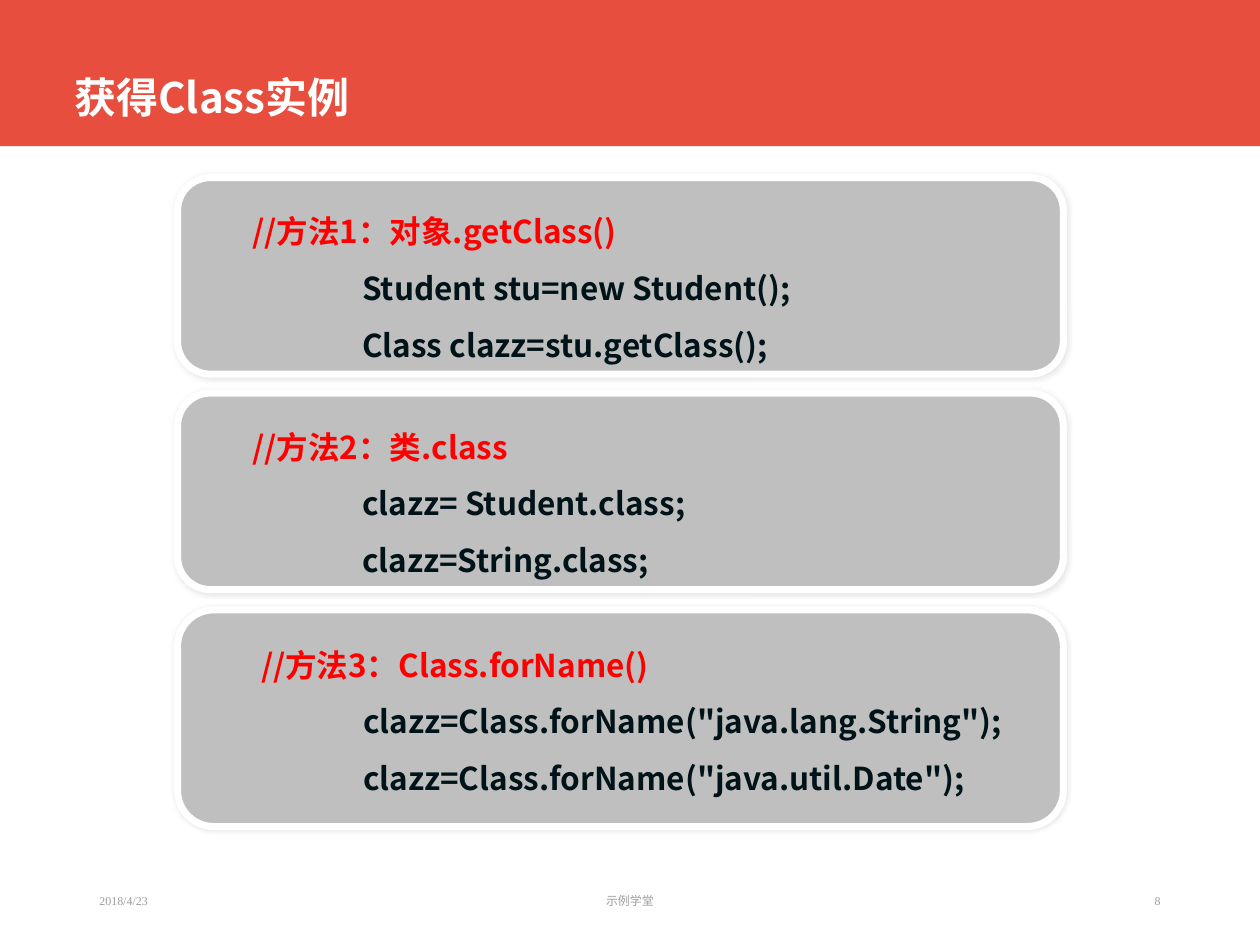
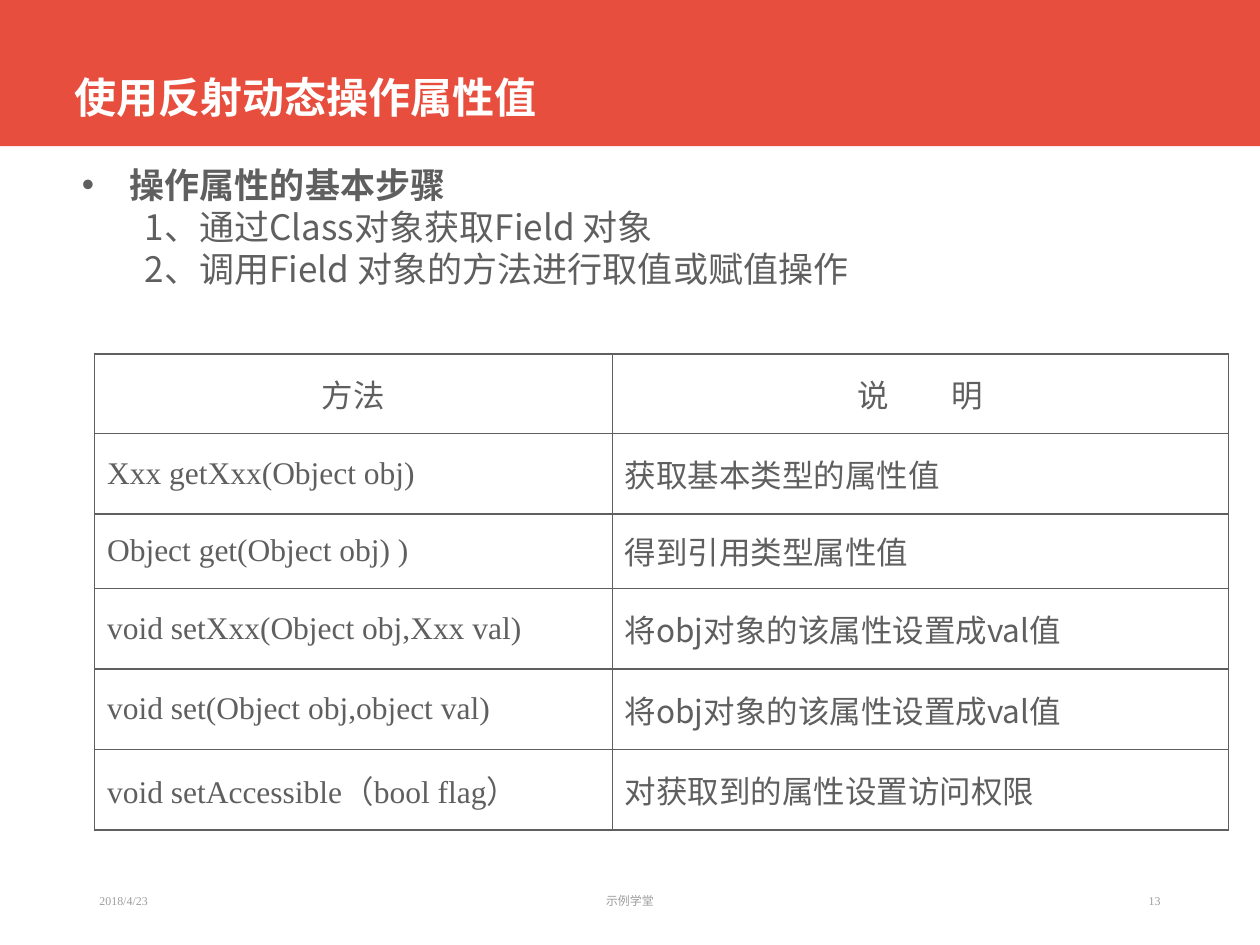
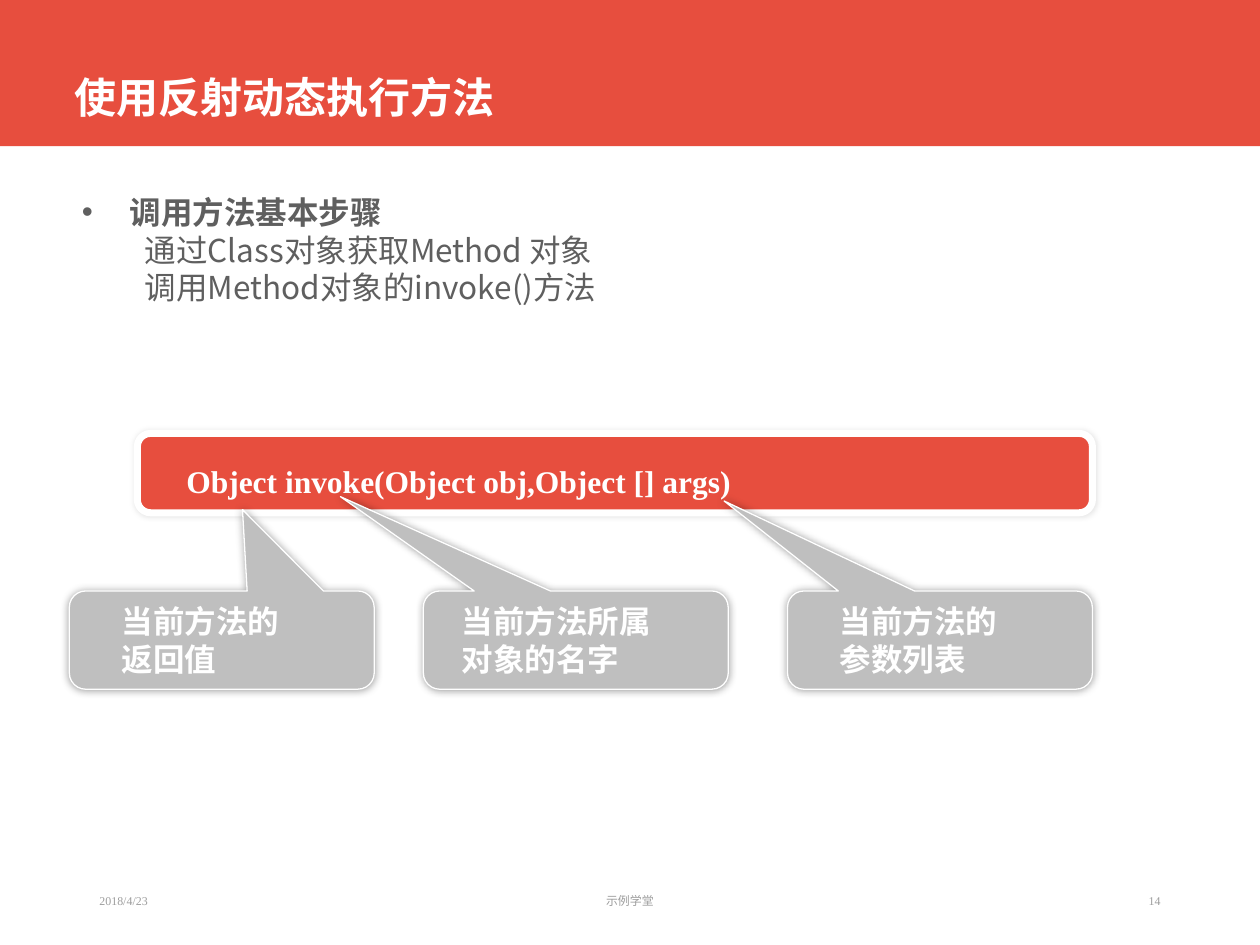
from lxml import etree
from pptx import Presentation
from pptx.dml.color import RGBColor
from pptx.enum import shapes, text
from pptx.oxml.ns import qn
from pptx.util import Inches, Pt

RED = RGBColor(0xE7, 0x4E, 0x3E)
GRAY = RGBColor(0xBF, 0xBF, 0xBF)
WHITE = RGBColor(0xFF, 0xFF, 0xFF)
COMMENT = RGBColor(0xFF, 0x00, 0x00)
CODE = RGBColor(0x00, 0x13, 0x18)
BODY = RGBColor(0x5F, 0x5F, 0x5F)
FOOTER = RGBColor(0x9D, 0x9D, 0x9D)
SANS, SERIF, ARIAL = "Noto Sans CJK SC", "Times New Roman", "Arial"
LEFT, CENTER, RIGHT = text.PP_ALIGN.LEFT, text.PP_ALIGN.CENTER, text.PP_ALIGN.RIGHT
TOP, MIDDLE, BOTTOM = text.MSO_ANCHOR.TOP, text.MSO_ANCHOR.MIDDLE, text.MSO_ANCHOR.BOTTOM

DATE, COMPANY = "2018/4/23", "示例学堂"

METHODS = [
    (1.41, 1.56, 0.42, ["//方法1：对象.getClass()",
                        "Student stu=new Student();",
                        "Class clazz=stu.getClass();"]),
    (3.12, 1.56, 0.42, ["//方法2：类.class",
                        "clazz= Student.class;",
                        "clazz=String.class;"]),
    (4.84, 1.72, 0.48, ["//方法3：Class.forName()",
                        'clazz=Class.forName("java.lang.String");',
                        'clazz=Class.forName("java.util.Date");']),
]
CODE_INDENT = 1.29

FIELD_STEPS = ["操作属性的基本步骤",
               "1、通过Class对象获取Field 对象",
               "2、调用Field 对象的方法进行取值或赋值操作"]
FIELD_METHODS = [
    ("方法", "说明"),
    ("Xxx getXxx(Object obj)", "获取基本类型的属性值"),
    ("Object get(Object obj) )", "得到引用类型属性值"),
    ("void setXxx(Object obj,Xxx val)", "将obj对象的该属性设置成val值"),
    ("void set(Object obj,object val)", "将obj对象的该属性设置成val值"),
    ("void setAccessible（bool flag）", "对获取到的属性设置访问权限"),
]
COLUMN_WIDTHS = [4.11, 4.89]
ROW_HEIGHTS = [0.63, 0.64, 0.59, 0.64, 0.64, 0.64]

INVOKE_STEPS = ["调用方法基本步骤",
                "通过Class对象获取Method 对象",
                "调用Method对象的invoke()方法"]
SIGNATURE = "Object invoke(Object obj,Object [] args)"
CALLOUTS = [
    (0.55, 0.28, (0.068, -1.328), ["当前方法的", "返回值"]),
    (3.36, 0.17, (-0.772, -1.46), ["当前方法所属", "对象的名字"]),
    (6.25, 0.28, (-0.708, -1.416), ["当前方法的", "参数列表"]),
]


def style(paragraph, size, color, font=SANS, bold=False, align=LEFT, spacing=None, before=0):
    paragraph.alignment = align
    paragraph.space_before = Pt(before)
    if spacing:
        paragraph.line_spacing = spacing
    for run in paragraph.runs:
        run.font.size, run.font.name, run.font.bold = Pt(size), font, bold
        run.font.color.rgb = color
        etree.SubElement(run._r.get_or_add_rPr(), qn("a:ea"), typeface=SANS)


def indent(paragraph, left, first=0):
    properties = paragraph._p.get_or_add_pPr()
    properties.set("marL", str(Inches(left)))
    properties.set("indent", str(Inches(first)))
    return properties


def place(shape, left, top, width, height):
    shape.left, shape.top = Inches(left), Inches(top)
    shape.width, shape.height = Inches(width), Inches(height)


def add_panel(slide, kind, box, fill, line_width, blur, opacity, lines, anchor=TOP):
    panel = slide.shapes.add_shape(kind, *map(Inches, box))
    panel.fill.solid()
    panel.fill.fore_color.rgb = fill
    panel.line.color.rgb = WHITE
    panel.line.width = Pt(line_width)
    panel.shadow.inherit = False
    effects = panel.element.spPr.find(qn("a:effectLst"))
    glow = etree.SubElement(effects, qn("a:outerShdw"), blurRad=str(Pt(blur)), dist="0", dir="0")
    black = etree.SubElement(glow, qn("a:srgbClr"), val="000000")
    etree.SubElement(black, qn("a:alpha"), val=str(opacity * 1000))
    panel.text_frame.text = "\n".join(lines)
    panel.text_frame.vertical_anchor = anchor
    return panel


def add_band(slide):
    band = slide.shapes.add_shape(shapes.MSO_SHAPE.RECTANGLE, 0, Inches(-0.01), Inches(10), Inches(1.17))
    band.fill.solid()
    band.fill.fore_color.rgb = RED
    band.line.fill.background()
    band.shadow.inherit = False
    slide.slide_layout.slide_master.shapes.element.insert(2, band.element)


def add_slide(prs, layout, heading, number):
    slide = prs.slides.add_slide(prs.slide_layouts[layout])
    title = slide.shapes.title
    place(title, 0.49, 0.15, 8.98, 0.87)
    title.text_frame.text = heading
    title.text_frame.vertical_anchor = BOTTOM
    title.text_frame.auto_size = text.MSO_AUTO_SIZE.NONE
    style(title.text_frame.paragraphs[0], 24, WHITE, bold=True, spacing=0.9)
    for left, width, words, align in [(0.69, 2.25, DATE, LEFT),
                                      (3.31, 3.38, COMPANY, CENTER),
                                      (7.06, 2.25, str(number), RIGHT)]:
        footer = slide.shapes.add_textbox(*map(Inches, (left, 6.95, width, 0.4))).text_frame
        footer.word_wrap = True
        footer.vertical_anchor = MIDDLE
        footer.text = words
        style(footer.paragraphs[0], 6.8, FOOTER, SERIF, align=align)
    return slide


def add_steps(slide, top, height, size, steps):
    body = slide.placeholders[1]
    place(body, 0.55, top, 8.2, height)
    body.text_frame.text = "\n".join(steps)
    body.text_frame.auto_size = text.MSO_AUTO_SIZE.NONE
    for i, paragraph in enumerate(body.text_frame.paragraphs):
        paragraph.level = min(i, 1)
        style(paragraph, size, BODY, bold=i == 0)
        if i:
            etree.SubElement(indent(paragraph, 0.5), qn("a:buNone"))
        else:
            indent(paragraph, 0.38, -0.38)


def add_borders(cell):
    properties = cell._tc.get_or_add_tcPr()
    for side in ("lnL", "lnR", "lnT", "lnB"):
        line = etree.SubElement(properties, qn(f"a:{side}"), w=str(Pt(1)))
        fill = etree.SubElement(line, qn("a:solidFill"))
        etree.SubElement(fill, qn("a:srgbClr"), val=str(BODY))


def add_methods(slide):
    for top, height, comment_indent, lines in METHODS:
        panel = add_panel(slide, shapes.MSO_SHAPE.ROUNDED_RECTANGLE, (1.41, top, 7.03, height),
                          GRAY, 4, 3, 10, lines)
        for i, paragraph in enumerate(panel.text_frame.paragraphs):
            style(paragraph, 18, CODE if i else COMMENT, bold=True, spacing=1.5)
            indent(paragraph, CODE_INDENT if i else comment_indent)


def add_field_table(slide):
    table = slide.shapes.add_table(len(ROW_HEIGHTS), len(COLUMN_WIDTHS), Inches(0.75), Inches(2.81),
                                   Inches(sum(COLUMN_WIDTHS)), Inches(sum(ROW_HEIGHTS))).table
    table.first_row = table.horz_banding = False
    for column, width in zip(table.columns, COLUMN_WIDTHS):
        column.width = Inches(width)
    for r, (row, height) in enumerate(zip(table.rows, ROW_HEIGHTS)):
        row.height = Inches(height)
        for c, cell in enumerate(row.cells):
            add_borders(cell)
            cell.fill.background()
            cell.vertical_anchor = MIDDLE
            cell.text_frame.text = FIELD_METHODS[r][c]
            style(cell.text_frame.paragraphs[0], 18, BODY, SERIF if r and not c else SANS,
                  align=LEFT if r else CENTER, before=3.6)
    explanation = table.cell(0, 1).text_frame.paragraphs[0]
    explanation.text = ""
    for word in FIELD_METHODS[0][1]:
        explanation.add_run().text = word
    style(explanation, 18, BODY, align=CENTER, before=3.6)
    explanation.runs[0]._r.get_or_add_rPr().set("spc", "3600")


def add_invoke(slide):
    bar = add_panel(slide, shapes.MSO_SHAPE.ROUNDED_RECTANGLE, (1.09, 3.44, 7.58, 0.63),
                    RED, 4, 3, 10, [SIGNATURE])
    signature = bar.text_frame.paragraphs[0]
    style(signature, 18, WHITE, SERIF, bold=True, spacing=1.5)
    indent(signature, 0.26)
    for left, text_indent, tip, lines in CALLOUTS:
        callout = add_panel(slide, shapes.MSO_SHAPE.ROUNDED_RECTANGULAR_CALLOUT, (left, 4.69, 2.42, 0.78),
                            GRAY, 0.75, 5, 40, lines, MIDDLE)
        callout.adjustments[0], callout.adjustments[1] = tip
        for paragraph in callout.text_frame.paragraphs:
            style(paragraph, 18, WHITE, ARIAL, bold=True)
            indent(paragraph, text_indent)


def main():
    prs = Presentation()
    prs.slide_width, prs.slide_height = Inches(10), Inches(7.5)

    instances = add_slide(prs, 5, "获得Class实例", 8)
    add_band(instances)
    add_methods(instances)

    fields = add_slide(prs, 1, "使用反射动态操作属性值", 13)
    add_steps(fields, 1.25, 1.56, 20, FIELD_STEPS)
    add_field_table(fields)

    invocation = add_slide(prs, 1, "使用反射动态执行方法", 14)
    add_steps(invocation, 1.48, 2.03, 18, INVOKE_STEPS)
    add_invoke(invocation)

    prs.save("out.pptx")


if __name__ == "__main__":
    main()
